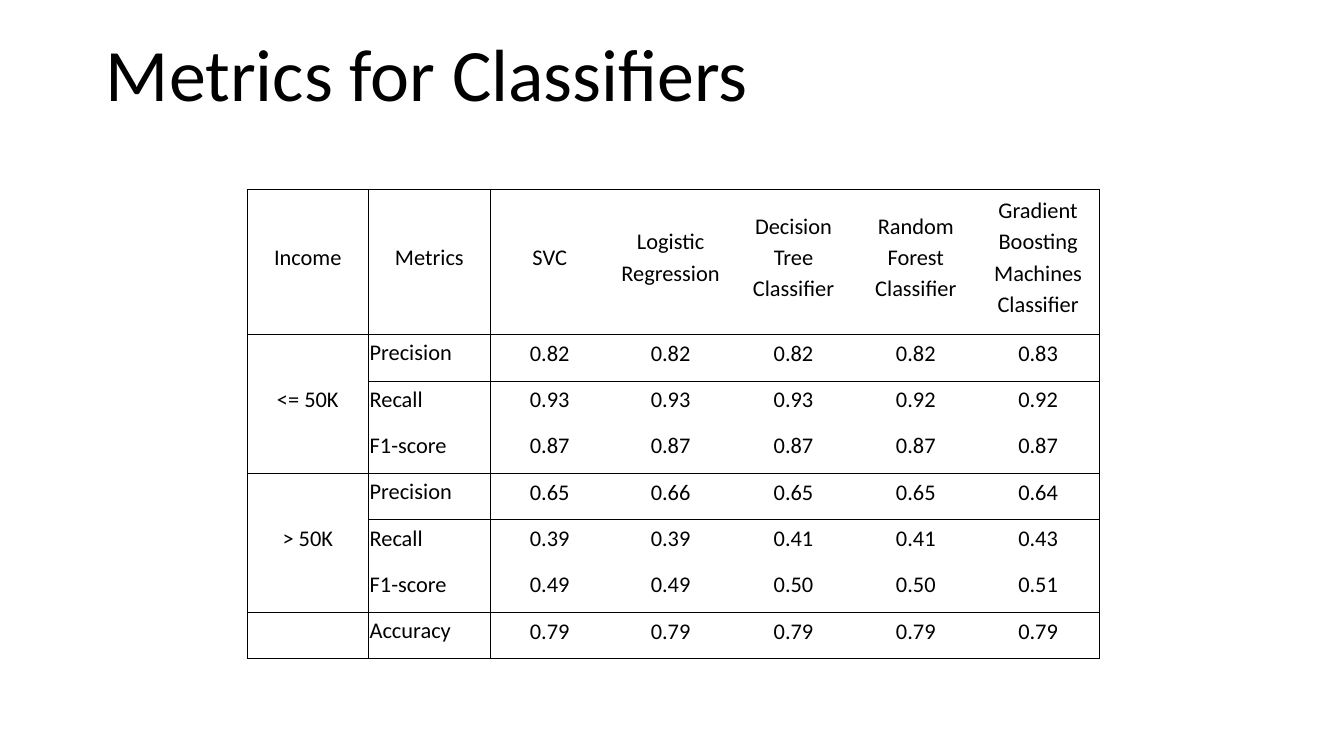
import pptx
import pptx.util
import pptx.dml.color
import pptx.enum.text
import pptx.oxml.ns
import lxml.etree

Inches = pptx.util.Inches
Pt = pptx.util.Pt
Align = pptx.enum.text.PP_ALIGN
Anchor = pptx.enum.text.MSO_ANCHOR
COLORS = {"ink": "000000", "page": "FFFFFF"}
FONT = "Calibri"
WIDTHS = [0.9, 0.91, 0.88, 0.92, 0.91, 0.91, 0.91]
HEIGHTS = [1.08] + [0.22] * 7
HEADS = ["Income", "Metrics", "SVC", "Logistic\nRegression",
         "Decision\nTree\nClassifier", "Random\nForest\nClassifier",
         "Gradient\nBoosting\nMachines\nClassifier"]
SCORES = [
    ["<= 50K", "Precision", "0.82", "0.82", "0.82", "0.82", "0.83"],
    ["", "Recall", "0.93", "0.93", "0.93", "0.92", "0.92"],
    ["", "F1-score", "0.87", "0.87", "0.87", "0.87", "0.87"],
    ["> 50K", "Precision", "0.65", "0.66", "0.65", "0.65", "0.64"],
    ["", "Recall", "0.39", "0.39", "0.41", "0.41", "0.43"],
    ["", "F1-score", "0.49", "0.49", "0.50", "0.50", "0.51"],
    ["", "Accuracy", "0.79", "0.79", "0.79", "0.79", "0.79"],
]
GROUPS = [(1, 3), (4, 6)]
RULES = {0, 1, 2, 4, 5, 7, 8}
INNER = {2, 5}
POSTS = {0, 1, 2, 7}


def set_font(para, size):
    para.font.name = FONT
    para.font.size = Pt(size)
    para.font.color.rgb = pptx.dml.color.RGBColor.from_string(COLORS["ink"])


def add_title(slide, left, top, width, height):
    box = slide.shapes.add_textbox(Inches(left), Inches(top), Inches(width), Inches(height))
    frame = box.text_frame
    frame.word_wrap = True
    frame.vertical_anchor = Anchor.MIDDLE
    para = frame.paragraphs[0]
    para.text = "Metrics for Classifiers"
    para.line_spacing = 0.9
    set_font(para, 39.6)


def set_lines(cell, sides):
    qn = pptx.oxml.ns.qn
    props = cell._tc.get_or_add_tcPr()
    for side, shown in sides.items():
        line = lxml.etree.SubElement(props, qn(f"a:ln{side}"), w=str(Pt(0.42)))
        if shown:
            fill = lxml.etree.SubElement(line, qn("a:solidFill"))
            lxml.etree.SubElement(fill, qn("a:srgbClr"), val=COLORS["ink"])
        else:
            lxml.etree.SubElement(line, qn("a:noFill"))


def has_rule(edge, col):
    return edge in RULES and not (col == 0 and edge in INNER)


def fill_cell(cell, text, row, col):
    label = row > 0 and col == 1
    cell.margin_left = cell.margin_right = cell.margin_top = Pt(0.75)
    cell.margin_bottom = Pt(7.5 if text else 0.75)
    low = row > 0 and col in (1, 2, 3)
    cell.vertical_anchor = Anchor.BOTTOM if low else Anchor.MIDDLE
    set_lines(cell, {"L": col in POSTS, "R": col + 1 in POSTS,
                     "T": has_rule(row, col), "B": has_rule(row + 1, col)})
    cell.fill.background()
    if not text:
        return
    cell.text_frame.text = text
    for para in cell.text_frame.paragraphs:
        set_font(para, 12)
        para.alignment = Align.LEFT if label else Align.CENTER
        if not label:
            para.line_spacing = 1.15


def add_scores(slide, left, top):
    rows = [HEADS] + SCORES
    frame = slide.shapes.add_table(len(rows), len(HEADS), Inches(left), Inches(top),
                                   Inches(sum(WIDTHS)), Inches(sum(HEIGHTS)))
    table = frame.table
    table.first_row = table.horz_banding = False
    for col, width in zip(table.columns, WIDTHS):
        col.width = Inches(width)
    for row, height in zip(table.rows, HEIGHTS):
        row.height = Inches(height)
    for r, texts in enumerate(rows):
        for c, text in enumerate(texts):
            fill_cell(table.cell(r, c), text, r, c)
    for first, last in GROUPS:
        table.cell(first, 0).merge(table.cell(last, 0))


def main():
    deck = pptx.Presentation()
    deck.slide_width = Inches(10)
    deck.slide_height = deck.slide_width * 9 // 16
    slide = deck.slides.add_slide(deck.slide_layouts[6])
    back = slide.background.fill
    back.solid()
    back.fore_color.rgb = pptx.dml.color.RGBColor.from_string(COLORS["page"])
    add_title(slide, 0.69, 0.3, 8.62, 0.55)
    add_scores(slide, 1.84, 1.41)
    deck.save("out.pptx")


if __name__ == "__main__":
    main()
